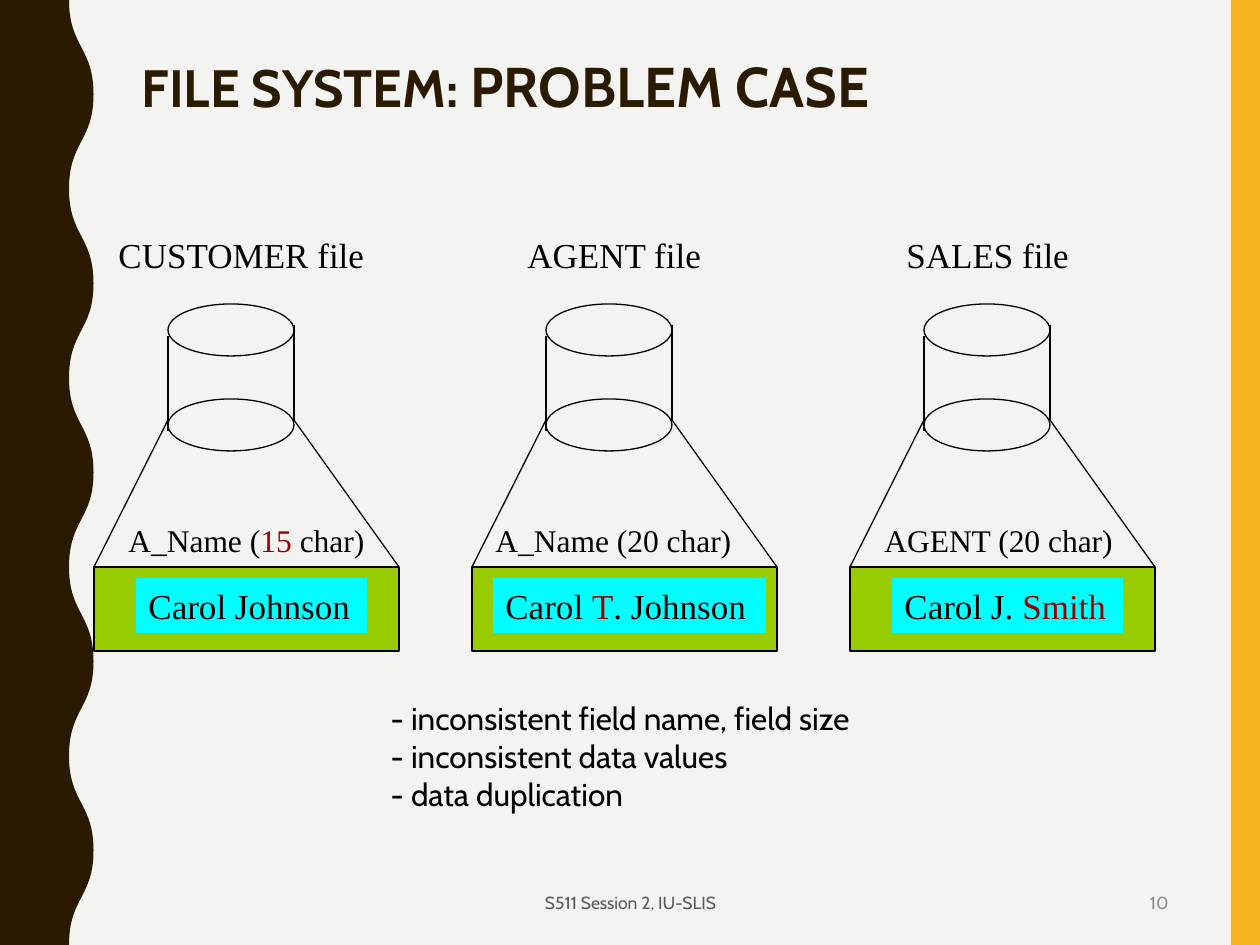
from lxml.etree import SubElement
from pptx import Presentation
from pptx.dml.color import RGBColor
from pptx.enum.shapes import MSO_CONNECTOR as Connector, MSO_SHAPE as Shape
from pptx.enum.text import MSO_ANCHOR as Anchor, MSO_AUTO_SIZE as AutoSize, PP_ALIGN as Align
from pptx.oxml.ns import qn
from pptx.util import Pt

SCALE = 914400 / 126
BLACK, RED, BROWN = "000000", "990000", "2A1A00"
SERIF, SANS = "Times New Roman", "Cabin"

FILES = [
    {
        "heading": ("CUSTOMER file", 12, 271),
        "field": ([("A_Name (", BLACK), ("15", RED), (" char)", BLACK)], 22, 261),
        "value": ([("Carol Johnson", BLACK)], 42, 231),
    },
    {
        "heading": ("AGENT file", 43, 199),
        "field": ([("A_Name (20 char)", BLACK)], 11, 261),
        "value": ([("Carol ", BLACK), ("T", RED), (". Johnson", BLACK)], 21, 273),
    },
    {
        "heading": ("SALES file", 44, 188),
        "field": ([("AGENT (20 char)", BLACK)], 22, 255),
        "value": ([("Carol J. ", BLACK), ("Smith", RED)], 42, 231),
    },
]


def px(*lengths):
    return [round(length * SCALE) for length in lengths]


def color(value):
    return RGBColor.from_string(value)


def apply_format(target, values):
    for name, value in values.items():
        setattr(target, name, value)


def paint(shape, fill=None, line=None):
    shape.shadow.inherit = False
    if fill:
        shape.fill.solid()
        shape.fill.fore_color.rgb = color(fill)
    else:
        shape.fill.background()
    if line:
        shape.line.color.rgb = color(line)
        shape.line.width = Pt(0.75)
    else:
        shape.line.fill.background()


def add_preset(shapes, preset, box, fill=None, line=None):
    shape = shapes.add_shape(preset, *px(*box))
    paint(shape, fill, line)
    return shape


def add_line(shapes, start, end):
    line = shapes.add_connector(Connector.STRAIGHT, *px(*start, *end))
    line.line.color.rgb = color(BLACK)
    line.line.width = Pt(0.75)
    SubElement(line._element.spPr, qn("a:effectLst"))


def add_runs(paragraph, runs, size, font):
    for text, hex_color in runs:
        run = paragraph.add_run()
        run.text = text
        apply_format(run.font, {"size": Pt(size), "name": font})
        run.font.color.rgb = color(hex_color)


def write_text(shape, runs, size, font, align=Align.LEFT, anchor=Anchor.TOP, wrap=True):
    frame = shape.text_frame
    apply_format(frame, {"word_wrap": wrap, "vertical_anchor": anchor})
    paragraph = frame.paragraphs[0]
    paragraph.alignment = align
    add_runs(paragraph, runs, size, font)


def add_label(shapes, box, runs, size, font, **layout):
    write_text(shapes.add_textbox(*px(*box)), runs, size, font, **layout)


def place(shape, box):
    apply_format(shape, dict(zip(("left", "top", "width", "height"), px(*box))))


def draw_wave(slide, height):
    inner, outer, half_wave = 138, 187, 189
    bottom = 2 * height
    nodes = [(inner if index % 2 == 0 else outer, half_wave * index) for index in range(11)]
    builder = slide.shapes.build_freeform(*nodes[0], scale=SCALE / 2)
    builder.add_line_segments(nodes[1:] + [(0, bottom), (0, 0)])
    wave = builder.convert_to_shape()
    paint(wave, BROWN)
    segments = list(wave._element.iter(qn("a:lnTo")))
    for segment, (start_x, start_y), (end_x, end_y) in zip(segments, nodes, nodes[1:]):
        middle = (start_y + end_y) // 2
        curve = segment.makeelement(qn("a:cubicBezTo"))
        for x, y in ((start_x, middle), (end_x, middle), (end_x, end_y)):
            SubElement(curve, qn("a:pt"), x=str(x), y=str(y))
        segment.getparent().replace(segment, curve)


def draw_background(slide, width, height):
    slide.background.fill.solid()
    slide.background.fill.fore_color.rgb = color("F3F3F2")
    add_preset(slide.shapes, Shape.RECTANGLE, (width - 29, 0, 29, height), "F8B323")
    draw_wave(slide, height)


def write_title(slide, box):
    title = slide.shapes.title
    place(title, box)
    apply_format(title.text_frame, {"vertical_anchor": Anchor.TOP, "auto_size": AutoSize.NONE})
    paragraph = title.text_frame.paragraphs[0]
    apply_format(paragraph, {"alignment": Align.LEFT, "line_spacing": 0.9})
    for text, size in (("FILE SYSTEM: ", 30), ("PROBLEM CASE", 32)):
        add_runs(paragraph, [(text, BROWN)], size, SANS)
        paragraph.runs[-1].font.bold = True


def draw_file(slide, left, top, file):
    shapes = slide.shapes
    text, offset, width = file["heading"]
    add_label(shapes, (left + offset, top, width, 55), [(text, BLACK)], 20, SERIF, wrap=False)

    neck_left, neck_right = left + 74, left + 200
    neck = shapes.add_group_shape().shapes
    for ellipse_top in (top + 77, top + 172):
        add_preset(neck, Shape.OVAL, (neck_left, ellipse_top, 126, 52), line=BLACK)
    add_line(neck, (neck_left, top + 109), (neck_left, top + 204))
    add_line(neck, (neck_right, top + 98), (neck_right, top + 193))

    add_line(shapes, (neck_left, top + 193), (left, top + 340))
    add_line(shapes, (left + 305, top + 340), (neck_right, top + 193))
    add_preset(shapes, Shape.RECTANGLE, (left, top + 340, 305, 84), "99CC00", BLACK)

    runs, offset, width = file["field"]
    add_label(shapes, (left + offset, top + 288, width, 50), runs, 18, SERIF, wrap=False)
    runs, offset, width = file["value"]
    value = add_preset(shapes, Shape.RECTANGLE, (left + offset, top + 351, width, 55), "00FFFF")
    write_text(value, runs, 20, SERIF)


def write_problems(slide, box):
    body = slide.placeholders[1]
    place(body, box)
    frame = body.text_frame
    apply_format(frame, {"vertical_anchor": Anchor.TOP, "auto_size": AutoSize.NONE})
    paragraph = frame.paragraphs[0]
    paragraph.space_before = Pt(0)
    properties = paragraph._p.get_or_add_pPr()
    properties.set("marL", "0")
    properties.set("indent", "0")
    SubElement(properties, qn("a:buNone"))
    problems = (
        "- inconsistent field name, field size",
        "- inconsistent data values",
        "- data duplication",
    )
    for index, problem in enumerate(problems):
        if index:
            paragraph.add_line_break()
        add_runs(paragraph, [(problem, BLACK)], 18, SANS)


def write_footer(slide, top):
    items = (
        ("S511 Session 2, IU-SLIS", 418, 425, "595959", Align.CENTER),
        ("10", 890, 291, "898989", Align.RIGHT),
    )
    for text, left, width, hex_color, align in items:
        add_label(slide.shapes, (left, top, width, 48), [(text, hex_color)], 10, SANS,
                  align=align, anchor=Anchor.MIDDLE)


def main():
    presentation = Presentation()
    width, height = 1260, 945
    apply_format(presentation, dict(zip(("slide_width", "slide_height"), px(width, height))))
    slide = presentation.slides.add_slide(presentation.slide_layouts[1])
    draw_background(slide, width, height)
    write_title(slide, (129, 53, 1052, 205))
    for column, file in enumerate(FILES):
        draw_file(slide, 94 + 378 * column, 227, file)
    write_problems(slide, (378, 693, 557, 126))
    write_footer(slide, 879)
    presentation.save("out.pptx")


if __name__ == "__main__":
    main()
